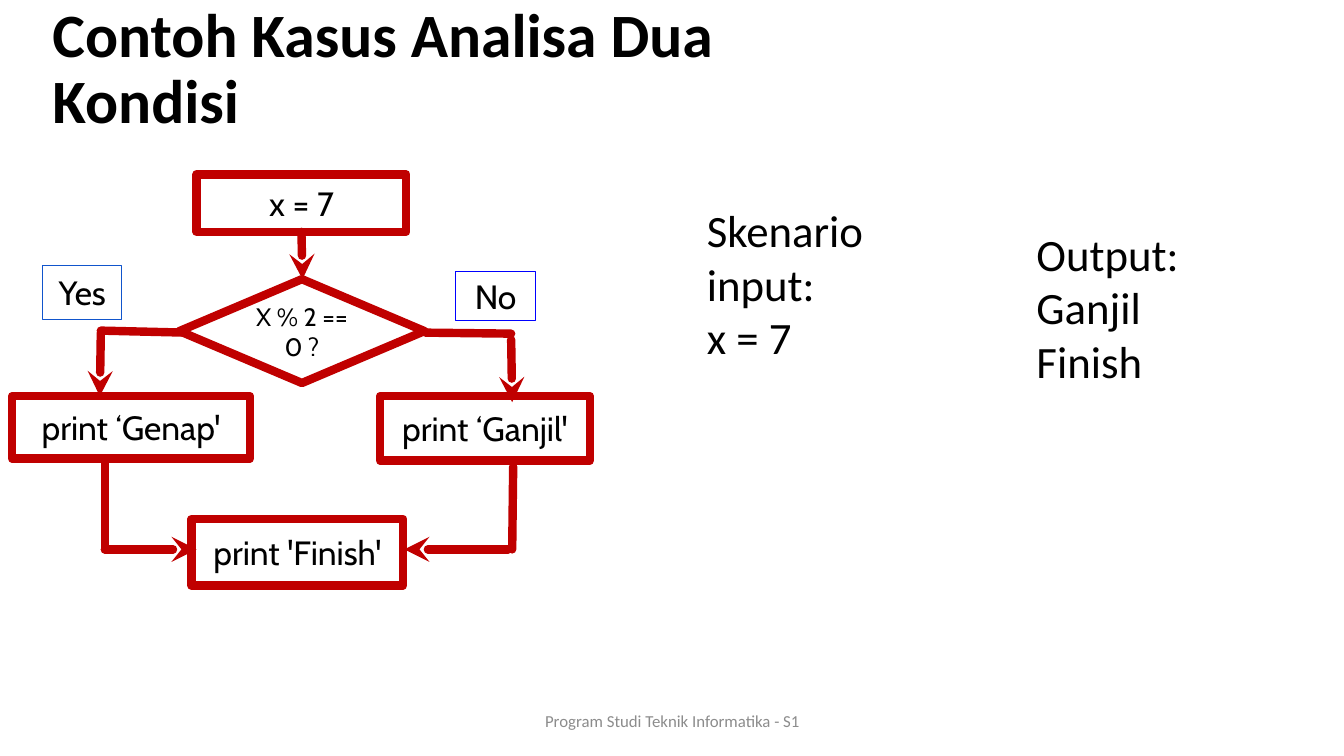
from lxml.etree import SubElement
from pptx import Presentation
from pptx.dml.color import RGBColor
from pptx.enum.shapes import MSO_CONNECTOR, MSO_SHAPE
from pptx.enum.text import MSO_ANCHOR, PP_ALIGN
from pptx.oxml.ns import qn
from pptx.util import Inches, Pt

RED = RGBColor(0xC0, 0x00, 0x00)
BLUE = RGBColor(0x00, 0x00, 0xFF)
STEEL_BLUE = RGBColor(0x11, 0x55, 0xCC)
BLACK = RGBColor(0x00, 0x00, 0x00)
GRAY = RGBColor(0x8C, 0x8C, 0x8C)


def write(box, text, font, size, color=BLACK, align=PP_ALIGN.LEFT, margin=0):
    frame = box.text_frame
    frame.text = text
    frame.word_wrap = True
    frame.vertical_anchor = MSO_ANCHOR.MIDDLE
    frame.margin_left = frame.margin_right = Inches(margin)
    frame.margin_top = frame.margin_bottom = Inches(margin / 2)
    for para in frame.paragraphs:
        para.alignment = align
        for span in para.runs:
            span.font.name = font
            span.font.size = Pt(size)
            span.font.color.rgb = color


def outline(item, color, width):
    item.line.color.rgb = color
    item.line.width = Pt(width)
    stroke = item.line._get_or_add_ln()
    stroke.set("cap", "rnd")
    SubElement(stroke, qn("a:round"))
    return stroke


deck = Presentation()
deck.slide_width = Inches(13.33)
deck.slide_height = Inches(7.5)
page = deck.slides.add_slide(deck.slide_layouts[5])

title = page.shapes.title
title.left, title.top, title.width, title.height = map(Inches, (0.42, 0.07, 8.57, 1.26))
write(title, "Contoh Kasus Analisa Dua Kondisi", "Calibri", 44, margin=0.1)
title.text_frame.paragraphs[0].line_spacing = 0.9
title.text_frame.paragraphs[0].runs[0].font.bold = True

flow_lines = [
    (2.99, 2.3, 3, 2.77, True),
    (4.22, 3.3, 5.07, 3.31, False),
    (5.07, 3.37, 5.08, 3.99, True),
    (5.09, 4.63, 5.08, 5.45, False),
    (5.04, 5.45, 4.01, 5.45, True),
    (1.85, 3.3, 1, 3.28, False),
    (1, 3.3, 0.99, 3.93, True),
    (1.04, 4.55, 1.04, 5.45, False),
    (1.04, 5.45, 1.95, 5.45, True),
]
for *ends, has_arrow in flow_lines:
    flow_line = page.shapes.add_connector(MSO_CONNECTOR.STRAIGHT, *map(Inches, ends))
    stroke = outline(flow_line, RED, 6)
    if has_arrow:
        SubElement(stroke, qn("a:tailEnd"), type="stealth")
    SubElement(flow_line._element.spPr, qn("a:effectLst"))

RECT, DIAMOND = MSO_SHAPE.RECTANGLE, MSO_SHAPE.DIAMOND
flow_boxes = [
    (RECT, (1.95, 1.73, 2.08, 0.57), "x = 7", 24, RED, 6),
    (DIAMOND, (1.78, 2.77, 2.43, 1.03), "X % 2 == 0 ?", 18, RED, 6),
    (RECT, (0.12, 3.93, 2.36, 0.62), "print ‘Genap'", 24, RED, 6),
    (RECT, (3.77, 3.93, 2.08, 0.64), "print ‘Ganjil'", 24, RED, 6),
    (RECT, (1.9, 5.15, 2.1, 0.66), "print 'Finish'", 24, RED, 6),
    (RECT, (0.42, 2.63, 0.79, 0.54), "Yes", 24, STEEL_BLUE, 0.75),
    (RECT, (4.52, 2.69, 0.79, 0.49), "No", 24, BLUE, 0.75),
]
for kind, place, text, size, color, width in flow_boxes:
    box = page.shapes.add_shape(kind, *map(Inches, place))
    box.shadow.inherit = False
    box.fill.background()
    outline(box, color, width)
    write(box, text, "Cabin", size, align=PP_ALIGN.CENTER)

scenario = page.shapes.add_textbox(*map(Inches, (7.01, 1.85, 2.49, 1.92)))
write(scenario, "Skenario input:\nx = 7", "Calibri", 32)

output = page.shapes.add_textbox(*map(Inches, (10.28, 1.85, 2.77, 2.39)))
write(output, "Output:\nGanjil\nFinish", "Calibri", 32)

footer = page.shapes.add_textbox(*map(Inches, (4.42, 6.95, 4.5, 0.4)))
write(footer, "Program Studi Teknik Informatika - S1", "Calibri", 12, GRAY, PP_ALIGN.CENTER, 0.1)

deck.save("out.pptx")
